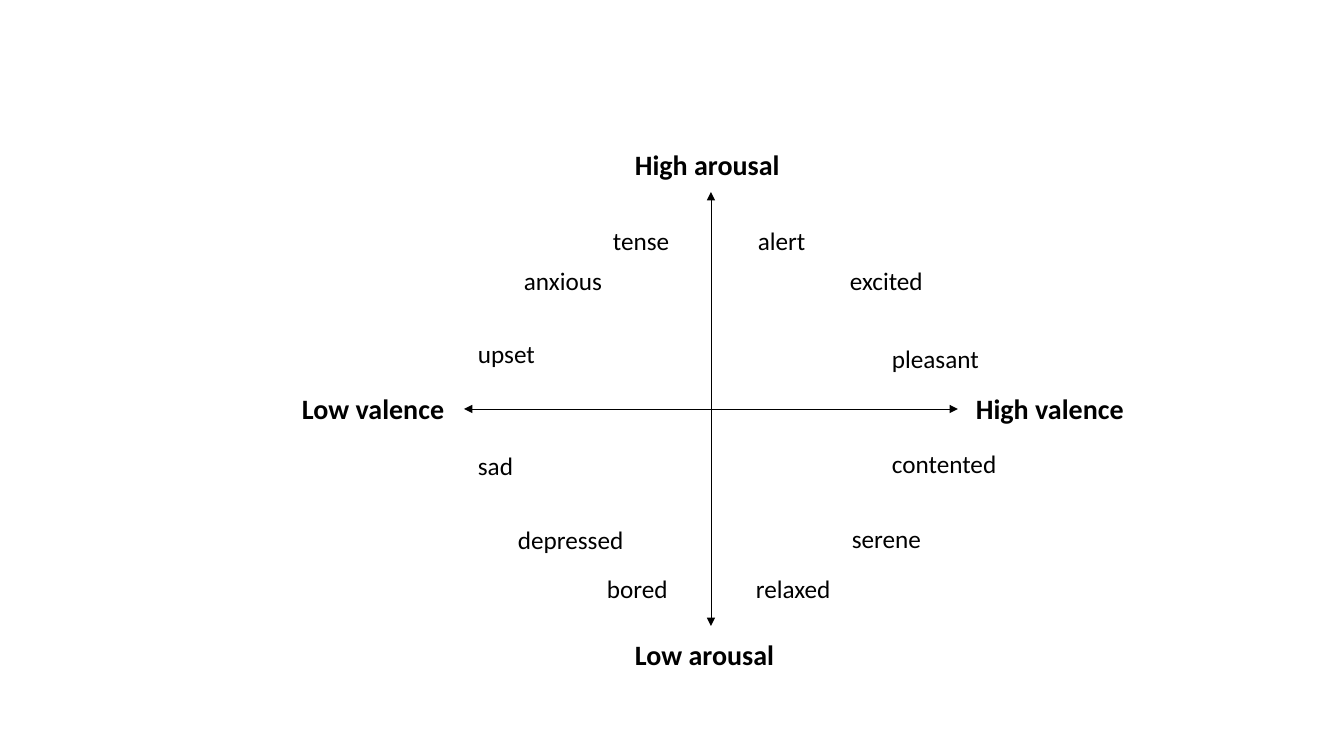
import pptx
import pptx.util
import pptx.dml.color
import pptx.enum.shapes
import pptx.enum.text
import pptx.oxml.ns
import lxml.etree

EMU_PER_PIXEL = 914400 / 100.8
BLACK = "000000"

AXES = [(464, 409, 958, 409), (711, 192, 711, 626)]

AXIS_LABELS = [
    ("High arousal", 625, 143),
    ("Low valence", 292, 387),
    ("High valence", 966, 387),
    ("Low arousal", 625, 633),
]

EMOTIONS = [
    ("anxious", 514, 260, 119),
    ("pleasant", 882, 338, 114),
    ("upset", 468, 333, 95),
    ("sad", 468, 445, 95),
    ("depressed", 508, 519, 143),
    ("bored", 597, 568, 95),
    ("relaxed", 746, 568, 97),
    ("serene", 842, 518, 95),
    ("contented", 882, 443, 131),
    ("tense", 603, 220, 95),
    ("alert", 748, 220, 95),
    ("excited", 840, 260, 95),
]


def px(length):
    return pptx.util.Emu(round(length * EMU_PER_PIXEL))


def color(hex_string):
    return pptx.dml.color.RGBColor.from_string(hex_string)


def add_text(slide, text, left, top, width, height, size=18, bold=False):
    box = slide.shapes.add_textbox(px(left), px(top), px(width), px(height))
    frame = box.text_frame
    frame.word_wrap = True
    frame.auto_size = pptx.enum.text.MSO_AUTO_SIZE.SHAPE_TO_FIT_TEXT
    span = frame.paragraphs[0].add_run()
    span.text = text
    span.font.name = "Calibri"
    span.font.size = pptx.util.Pt(size)
    span.font.bold = bold
    span.font.color.rgb = color(BLACK)


def add_axis(slide, *ends):
    axis = slide.shapes.add_connector(
        pptx.enum.shapes.MSO_CONNECTOR.STRAIGHT, *map(px, ends)
    )
    axis.line.color.rgb = color(BLACK)
    axis.line.width = pptx.util.Pt(0.5)
    line = axis.line._get_or_add_ln()
    for end in ("a:headEnd", "a:tailEnd"):
        lxml.etree.SubElement(line, pptx.oxml.ns.qn(end), type="triangle")
    lxml.etree.SubElement(axis._element.spPr, pptx.oxml.ns.qn("a:effectLst"))


def main():
    deck = pptx.Presentation()
    deck.slide_width, deck.slide_height = px(1344), px(756)
    slide = deck.slides.add_slide(deck.slide_layouts[6])
    for ends in AXES:
        add_axis(slide, *ends)
    for text, left, top in AXIS_LABELS:
        add_text(slide, text, left, top, 170, 44, size=20, bold=True)
    for text, left, top, width in EMOTIONS:
        add_text(slide, text, left, top, width, 40)
    deck.save("out.pptx")


main()
